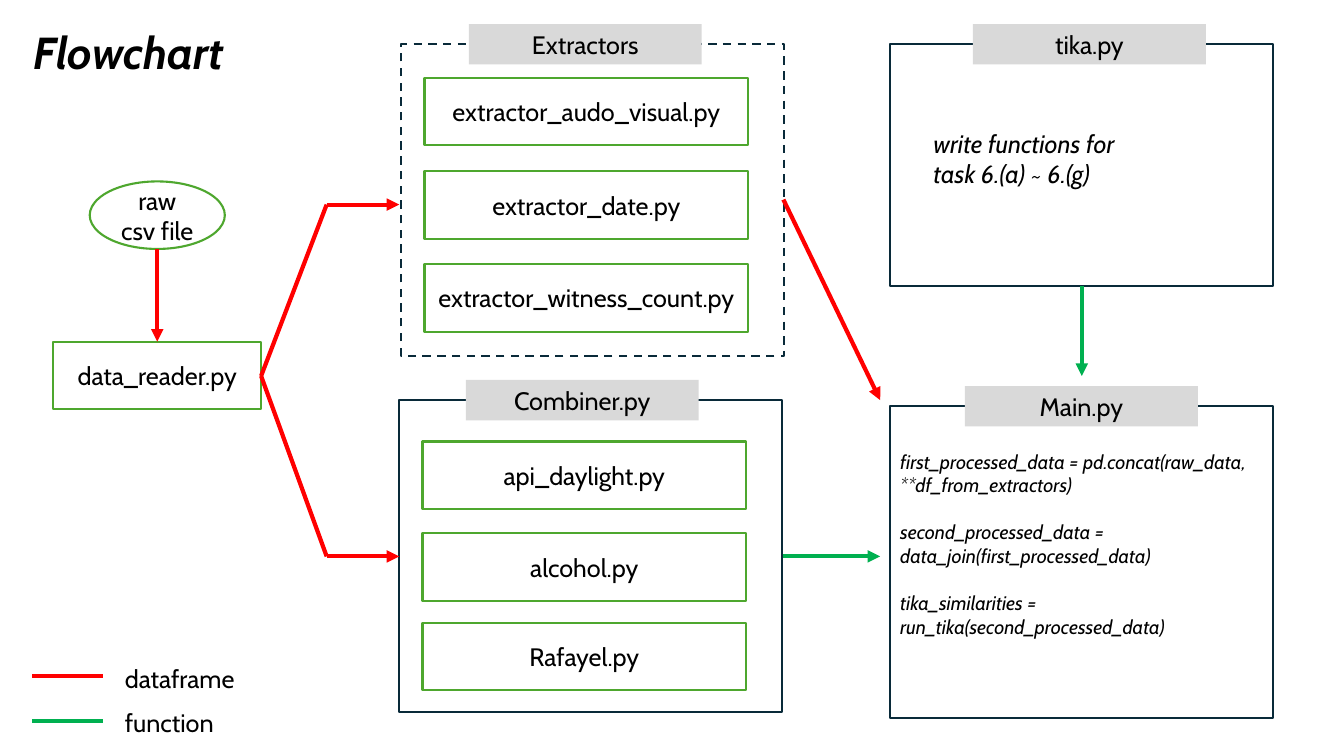
from lxml.etree import SubElement
from pptx import Presentation
from pptx.dml.color import RGBColor
from pptx.enum.dml import MSO_LINE_DASH_STYLE as Dash
from pptx.enum.shapes import MSO_CONNECTOR, MSO_SHAPE as Preset
from pptx.enum.text import MSO_ANCHOR as Anchor, MSO_AUTO_SIZE as AutoSize, PP_ALIGN as Align
from pptx.oxml.ns import qn
from pptx.util import Inches, Pt

COLORS = {name: RGBColor.from_string(value) for name, value in {
    "text": "000000", "paper": "FFFFFF", "module": "4EA72E", "panel": "092A39",
    "label": "D9D9D9", "dataframe": "FF0000", "function": "00B050",
}.items()}
CELL = Inches(1)  # side of one square of the layout grid

deck = Presentation()
deck.slide_width, deck.slide_height = int(13.33 * CELL), int(7.5 * CELL)
page = deck.slides.add_slide(deck.slide_layouts[5])


def write(shape, text, size=18, align=Align.LEFT, anchor=Anchor.TOP, bold=False, italic=False):
    frame = shape.text_frame
    frame.text = text
    frame.word_wrap = True
    frame.auto_size = AutoSize.NONE
    frame.vertical_anchor = anchor
    for para in frame.paragraphs:
        para.alignment = align
        for span in para.runs:
            span.font.name, span.font.size = "Cabin", Pt(size)
            span.font.bold, span.font.italic = bold, italic
            span.font.color.rgb = COLORS["text"]


def draw_box(col, row, cols, rows, fill=None, line=None, preset=Preset.RECTANGLE):
    """Add a shape placed in grid cells; without a fill or line colour it has none."""
    box = page.shapes.add_shape(preset, *(int(n * CELL) for n in (col, row, cols, rows)))
    box.shadow.inherit = False
    if fill:
        box.fill.solid()
        box.fill.fore_color.rgb = COLORS[fill]
    else:
        box.fill.background()
    if line:
        box.line.color.rgb = COLORS[line]
        box.line.width = Pt(1.5)
    else:
        box.line.fill.background()
    return box


# Title
title = page.shapes.title
title.left, title.top, title.width, title.height = (int(n * CELL) for n in (0.23, 0.19, 2.36, 0.64))
write(title, "Flowchart", 32, bold=True, italic=True)

# Panels with a grey label across the top edge
PANEL_COLS, LABEL_COLS, LABEL_ROWS = 3.8, 2.31, 0.4
panels = [  # name, column, row, rows, label column
    ("Combiner.py", 3.96, 3.97, 3.09, 4.62),
    ("Extractors", 3.98, 0.44, 3.09, 4.65),
    ("Main.py", 8.83, 4.03, 3.09, 9.57),
    ("tika.py", 8.83, 0.44, 2.4, 9.65),
]
for name, col, row, rows, label_col in panels:
    panel = draw_box(col, row, PANEL_COLS, rows, line="panel")
    if name == "Extractors":
        panel.line.dash_style = Dash.DASH
    label = draw_box(label_col, row - LABEL_ROWS / 2, LABEL_COLS, LABEL_ROWS, fill="label")
    write(label, name, align=Align.CENTER)

# Modules and the raw file
MODULE_COLS, MODULE_ROWS = 3.21, 0.67
modules = [  # text, column, row, columns, preset
    ("data_reader.py", 0.53, 3.39, 2.06, Preset.RECTANGLE),
    ("raw csv file", 0.89, 1.8, 1.34, Preset.OVAL),
    ("extractor_audo_visual.py", 4.21, 0.77, MODULE_COLS, Preset.RECTANGLE),
    ("extractor_date.py", 4.21, 1.7, MODULE_COLS, Preset.RECTANGLE),
    ("extractor_witness_count.py", 4.21, 2.62, MODULE_COLS, Preset.RECTANGLE),
    ("api_daylight.py", 4.19, 4.38, MODULE_COLS, Preset.RECTANGLE),
    ("alcohol.py", 4.19, 5.29, MODULE_COLS, Preset.RECTANGLE),
    ("Rafayel.py", 4.19, 6.18, MODULE_COLS, Preset.RECTANGLE),
]
for text, col, row, cols, preset in modules:
    module = draw_box(col, row, cols, MODULE_ROWS, "paper", "module", preset)
    write(module, text, align=Align.CENTER, anchor=Anchor.MIDDLE)

# Flows and legend strokes
flows = [  # kind, start, end, has arrowhead
    ("dataframe", (1.56, 2.47), (1.56, 3.39), True),
    ("dataframe", (2.59, 3.73), (3.24, 5.52), False),
    ("dataframe", (3.24, 5.52), (3.96, 5.52), True),
    ("dataframe", (2.59, 3.73), (3.24, 2.03), False),
    ("dataframe", (3.24, 2.03), (3.96, 2.03), True),
    ("dataframe", (7.77, 1.98), (8.73, 3.97), True),
    ("function", (7.77, 5.52), (8.73, 5.52), True),
    ("function", (10.73, 2.84), (10.73, 3.73), True),
    ("dataframe", (0.32, 6.71), (1.02, 6.71), False),
    ("function", (0.32, 7.15), (1.02, 7.15), False),
]
for kind, start, end, has_arrow in flows:
    flow = page.shapes.add_connector(MSO_CONNECTOR.STRAIGHT, *(int(n * CELL) for n in start + end))
    flow.line.color.rgb = COLORS[kind]
    flow.line.width = Pt(3)
    if has_arrow:
        SubElement(flow.line._get_or_add_ln(), qn("a:tailEnd"), type="triangle")
    SubElement(flow._element.spPr, qn("a:effectLst"))

# Legend words and notes inside the panels
main_steps = "\n".join([
    "first_processed_data = pd.concat(raw_data, **df_from_extractors)",
    "second_processed_data =",
    "data_join(first_processed_data)",
    "tika_similarities =",
    "run_tika(second_processed_data)",
])
notes = [  # text, column, row, columns, rows, size, italic
    ("dataframe", 1.14, 6.53, 1.6, 0.4, 18, False),
    ("function", 1.14, 6.97, 1.6, 0.4, 18, False),
    ("write functions for\vtask 6.(a) ~ 6.(g)", 9.16, 1.22, 3.22, 0.71, 18, True),
    (main_steps, 8.83, 4.41, PANEL_COLS, 1.99, 14, True),
]
for text, col, row, cols, rows, size, italic in notes:
    note = page.shapes.add_textbox(*(int(n * CELL) for n in (col, row, cols, rows)))
    write(note, text, size, italic=italic)
    for para in note.text_frame.paragraphs[1::2]:
        para.space_before = Pt(17)

deck.save("out.pptx")
